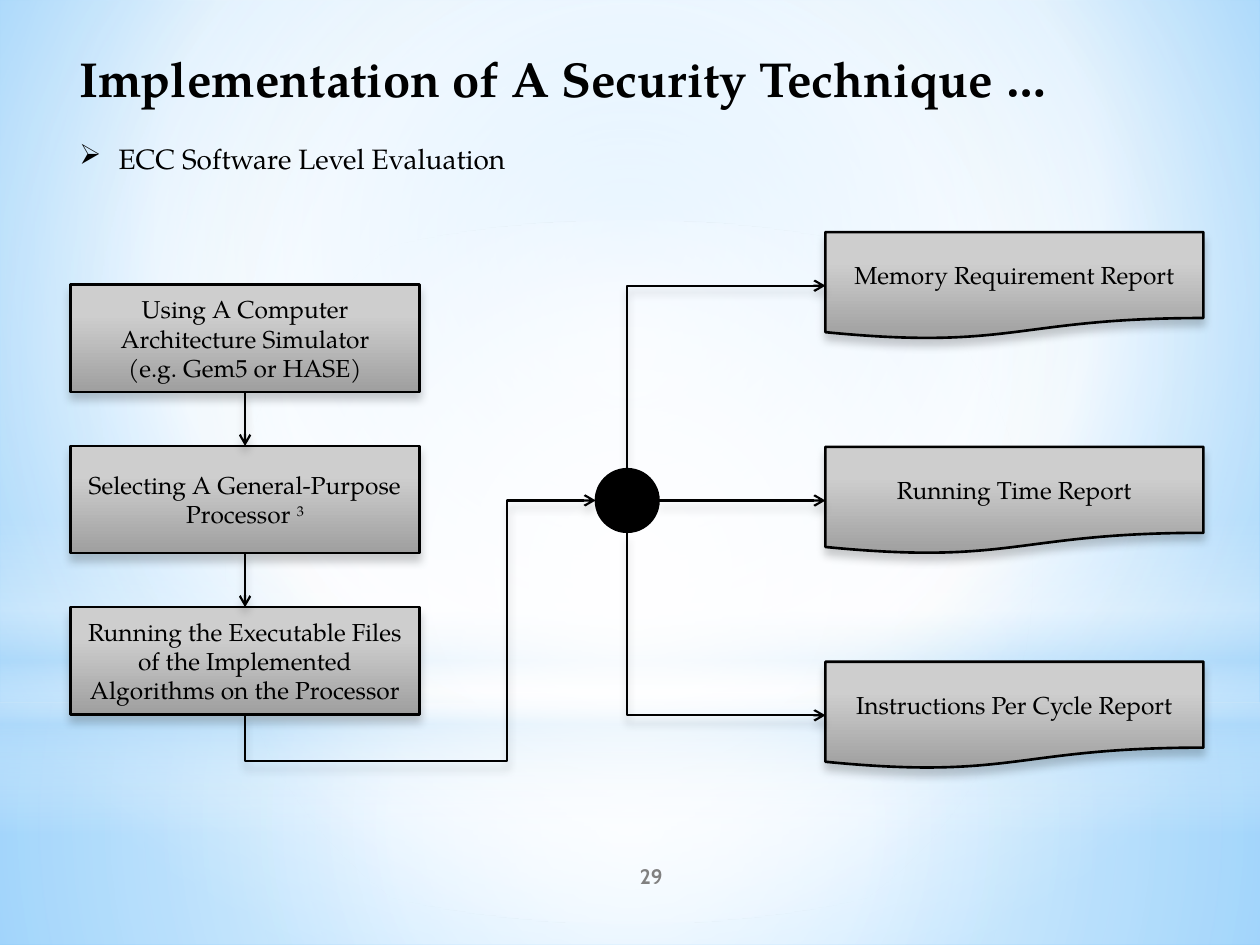
from dataclasses import dataclass
from typing import NamedTuple, Optional

from lxml import etree
from pptx import Presentation
from pptx.dml.color import RGBColor
from pptx.enum.shapes import MSO_CONNECTOR, MSO_SHAPE
from pptx.enum.text import MSO_ANCHOR, MSO_AUTO_SIZE, PP_ALIGN
from pptx.oxml.ns import qn
from pptx.util import Cm, Pt

RECTANGLE, OVAL = MSO_SHAPE.RECTANGLE, MSO_SHAPE.OVAL
PROCESS, DOCUMENT = MSO_SHAPE.FLOWCHART_PROCESS, MSO_SHAPE.FLOWCHART_DOCUMENT
JUNCTION = MSO_SHAPE.FLOWCHART_CONNECTOR
STRAIGHT, ELBOW = MSO_CONNECTOR.STRAIGHT, MSO_CONNECTOR.ELBOW
TOP_ANCHOR, MIDDLE = MSO_ANCHOR.TOP, MSO_ANCHOR.MIDDLE
LEFT_ALIGN, CENTER = PP_ALIGN.LEFT, PP_ALIGN.CENTER
NO_AUTOFIT = MSO_AUTO_SIZE.NONE

# Sides in the order of a rectangle's connection sites, as shares of its size
TOP, LEFT, BOTTOM, RIGHT = range(4)
SIDE_POINTS = ((0.5, 0), (0, 0.5), (0.5, 1), (1, 0.5))


class Stop(NamedTuple):
    position: int
    color: str
    opacity: int = 100


class Gradient(NamedTuple):
    stops: tuple
    center: Optional[tuple] = None  # left, top, right, bottom insets; None is top to bottom


@dataclass(frozen=True)
class Theme:
    font: str = "TeX Gyre Pagella"
    number_font: str = "Cabin"
    ink: str = "000000"
    muted: str = "808080"
    title_size: int = 28
    bullet_size: int = 16
    box_size: int = 14
    number_size: int = 12
    box_line: float = 1.5
    arrow_line: float = 1.25
    box_fill: Gradient = Gradient((Stop(28, "CECECE"), Stop(100, "9F9F9F")))
    page_fill: Gradient = Gradient(
        (Stop(0, "9ED5FF"), Stop(60, "FFFFFF"), Stop(100, "5BB9FF")), (20, 10, 20, 60))


@dataclass(frozen=True)
class Glow:
    kind: MSO_SHAPE
    top: float
    height: float
    fill: Gradient


class Span(NamedTuple):
    text: str
    raised: bool = False


class Bend(NamedTuple):
    preset: str
    rotation: int
    flips: tuple
    adjustments: tuple = ()


THEME = Theme()
MIDPOINT = (50, 50, 50, 50)
GLOWS = (
    Glow(RECTANGLE, 14.17, 4.88, Gradient(
        (Stop(0, "FFFFFF", 91), Stop(37, "FFFFFF", 76), Stop(100, "B4DCFA", 79)), MIDPOINT)),
    Glow(RECTANGLE, 0, 14.17, Gradient(
        (Stop(0, "FFFFFF", 89), Stop(48, "FFFFFF", 62), Stop(100, "B4DCFA", 79)), MIDPOINT)),
    Glow(RECTANGLE, 10.46, 6.35, Gradient(
        (Stop(0, "FFFFFF", 0), Stop(29, "FFFFFF", 30), Stop(45, "B4DCFA", 40),
         Stop(55, "FFFFFF", 26), Stop(65, "B4DCFA", 60), Stop(100, "FFFFFF", 0)))),
    Glow(OVAL, 4.45, 14.17, Gradient((Stop(0, "FFFFFF"), Stop(56, "FFFFFF", 0)), MIDPOINT)),
)
STEPS = (
    ((Span("Using A Computer Architecture Simulator"),), (Span("(e.g. Gem5 or HASE)"),)),
    ((Span("Selecting A General-Purpose Processor "), Span("3", raised=True)),),
    ((Span("Running the Executable Files of the Implemented Algorithms on the Processor"),),),
)
REPORTS = ("Memory Requirement Report", "Running Time Report", "Instructions Per Cycle Report")
BOX_HEIGHT = 2.16
STEP_LEFT, STEP_TOP, STEP_WIDTH, STEP_PITCH = 1.42, 5.74, 7.04, 3.25
REPORT_LEFT, REPORT_TOP, REPORT_WIDTH, REPORT_PITCH = 16.64, 4.68, 7.62, 4.33
HUB_LEFT, HUB_SIZE = 12.01, 1.27


def add_element(parent, tag: str, **attributes):
    return etree.SubElement(parent, qn(tag), {key: str(value) for key, value in attributes.items()})


def add_color(parent, color: str, opacity: int) -> None:
    add_element(add_element(parent, "a:srgbClr", val=color), "a:alpha", val=opacity * 1000)


def paint_gradient(fill, owner, gradient: Gradient) -> None:
    """Set a solid fill, then swap its element inside owner for the gradient."""
    fill.solid()
    solid = owner.find(qn("a:solidFill"))
    element = etree.Element(qn("a:gradFill"), rotWithShape="1")
    stops = add_element(element, "a:gsLst")
    for stop in gradient.stops:
        add_color(add_element(stops, "a:gs", pos=stop.position * 1000), stop.color, stop.opacity)
    if gradient.center:
        insets = {side: inset * 1000 for side, inset in zip("ltrb", gradient.center)}
        add_element(add_element(element, "a:path", path="circle"), "a:fillToRect", **insets)
    else:
        add_element(element, "a:lin", ang=5400000, scaled=0)
    owner.replace(solid, element)


def add_shadow(properties) -> None:
    shadow = add_element(add_element(properties, "a:effectLst"), "a:outerShdw", blurRad=Pt(5),
                         dist=Pt(4), dir=5400000, algn="ctr", rotWithShape=0)
    add_color(shadow, THEME.ink, 20)


def add_span(para, text: str, size: int, font=THEME.font, color=THEME.ink, bold=False):
    span = para.add_run()
    span.text = text
    span.font.name, span.font.size, span.font.bold = font, Pt(size), bold
    span.font.color.rgb = RGBColor.from_string(color)
    return span


def prepare_frame(box, anchor, alignment):
    frame = box.text_frame
    frame.word_wrap, frame.auto_size, frame.vertical_anchor = True, NO_AUTOFIT, anchor
    frame.paragraphs[0].alignment = alignment
    return frame.paragraphs[0]


def add_glow(page, glow: Glow, width) -> None:
    shape = page.shapes.add_shape(glow.kind, 0, Cm(glow.top), width, Cm(glow.height))
    paint_gradient(shape.fill, shape._element.spPr, glow.fill)
    shape.line.fill.background()
    shape.shadow.inherit = False


def add_box(page, kind, left: float, top: float, width: float, lines: tuple):
    box = page.shapes.add_shape(kind, Cm(left), Cm(top), Cm(width), Cm(BOX_HEIGHT))
    paint_gradient(box.fill, box._element.spPr, THEME.box_fill)
    box.line.color.rgb = RGBColor.from_string(THEME.ink)
    box.line.width = Pt(THEME.box_line)
    add_shadow(box._element.spPr)
    para = prepare_frame(box, MIDDLE, CENTER)
    for index, spans in enumerate(lines):
        if index:
            para = box.text_frame.add_paragraph()
            para.alignment = CENTER
        for part in spans:
            span = add_span(para, part.text, THEME.box_size)
            if part.raised:
                span.font._element.set("baseline", "30000")
    return box


def add_hub(page, center_y: float):
    hub = page.shapes.add_shape(JUNCTION, Cm(HUB_LEFT), Cm(center_y - HUB_SIZE / 2),
                                Cm(HUB_SIZE), Cm(HUB_SIZE))
    hub.fill.solid()
    hub.fill.fore_color.rgb = hub.line.color.rgb = RGBColor.from_string(THEME.ink)
    hub.line.width = Pt(THEME.arrow_line)
    hub.shadow.inherit = False
    return hub


def side_point(shape, side: int) -> tuple:
    across, down = SIDE_POINTS[side]
    return int(shape.left + across * shape.width), int(shape.top + down * shape.height)


def connection_site(shape, side: int) -> int:
    """A round junction has eight sites, every second one on a side."""
    return side * 2 if shape.auto_shape_type == JUNCTION else side


def add_arrow(page, source, source_side: int, target, target_side: int,
              bend: Optional[Bend] = None) -> None:
    (x1, y1), (x2, y2) = side_point(source, source_side), side_point(target, target_side)
    arrow = page.shapes.add_connector(ELBOW if bend else STRAIGHT, x1, y1, x2, y2)
    properties = arrow._element.spPr
    if bend:  # a quarter turn swaps width and height around the same centre
        width, height = abs(y2 - y1), abs(x2 - x1)
        arrow.left, arrow.top = (x1 + x2 - width) // 2, (y1 + y2 - height) // 2
        arrow.width, arrow.height = width, height
        frame = properties.find(qn("a:xfrm"))
        frame.set("rot", str(bend.rotation * 60000))
        for flip in ("flipH", "flipV"):
            frame.set(flip, str(int(flip in bend.flips)))
        geometry = properties.find(qn("a:prstGeom"))
        geometry.set("prst", bend.preset)
        for number, value in enumerate(bend.adjustments, 1):
            add_element(geometry.find(qn("a:avLst")), "a:gd", name=f"adj{number}", fmla=f"val {value}")
    arrow._connect_begin_to(source, connection_site(source, source_side))
    arrow._connect_end_to(target, connection_site(target, target_side))
    arrow.line.color.rgb = RGBColor.from_string(THEME.ink)
    arrow.line.width = Pt(THEME.arrow_line)
    add_element(properties.find(qn("a:ln")), "a:tailEnd", type="arrow")
    add_shadow(properties)


def add_heading(page) -> None:
    title = page.shapes.title
    page.shapes._spTree.append(title._element)  # in front of the glows
    title.left, title.top, title.width, title.height = Cm(1.35), Cm(0.86), Cm(22.76), Cm(1.6)
    add_span(prepare_frame(title, TOP_ANCHOR, LEFT_ALIGN),
             "Implementation of A Security Technique …", THEME.title_size, bold=True)
    box = page.shapes.add_textbox(Cm(1.35), Cm(2.72), Cm(22.76), Cm(0.96))
    para = prepare_frame(box, TOP_ANCHOR, LEFT_ALIGN)
    layout = para._p.get_or_add_pPr()
    layout.set("marL", str(Cm(0.79)))
    layout.set("indent", str(-Cm(0.79)))
    add_element(layout, "a:buChar", char="➢")
    add_span(para, "ECC Software Level Evaluation", THEME.bullet_size)


def main() -> None:
    deck = Presentation()
    deck.slide_width, deck.slide_height = Cm(25.4), Cm(19.05)
    page = deck.slides.add_slide(deck.slide_layouts[5])
    background = page.background.fill
    background.solid()
    paint_gradient(background, page.element.cSld.bg.bgPr, THEME.page_fill)
    for glow in GLOWS:
        add_glow(page, glow, deck.slide_width)
    number = page.shapes.add_textbox(Cm(10.59), Cm(17.15), Cm(5.08), Cm(1.02))
    add_span(prepare_frame(number, MIDDLE, CENTER), "29", THEME.number_size,
             THEME.number_font, THEME.muted, bold=True)
    add_heading(page)

    steps = [add_box(page, PROCESS, STEP_LEFT, STEP_TOP + row * STEP_PITCH, STEP_WIDTH, lines)
             for row, lines in enumerate(STEPS)]
    reports = [add_box(page, DOCUMENT, REPORT_LEFT, REPORT_TOP + row * REPORT_PITCH,
                       REPORT_WIDTH, ((Span(name),),)) for row, name in enumerate(REPORTS)]
    hub = add_hub(page, REPORT_TOP + REPORT_PITCH + BOX_HEIGHT / 2)
    for upper, lower in zip(steps, steps[1:]):
        add_arrow(page, upper, BOTTOM, lower, TOP)
    add_arrow(page, steps[-1], BOTTOM, hub, LEFT,
              Bend("bentConnector4", 90, ("flipH", "flipV"), (-21800, 74800)))
    add_arrow(page, hub, TOP, reports[0], LEFT, Bend("bentConnector2", 90, ("flipH", "flipV")))
    add_arrow(page, hub, RIGHT, reports[1], LEFT)
    add_arrow(page, hub, BOTTOM, reports[2], LEFT, Bend("bentConnector2", 270, ("flipH",)))
    deck.save("out.pptx")


if __name__ == "__main__":
    main()
